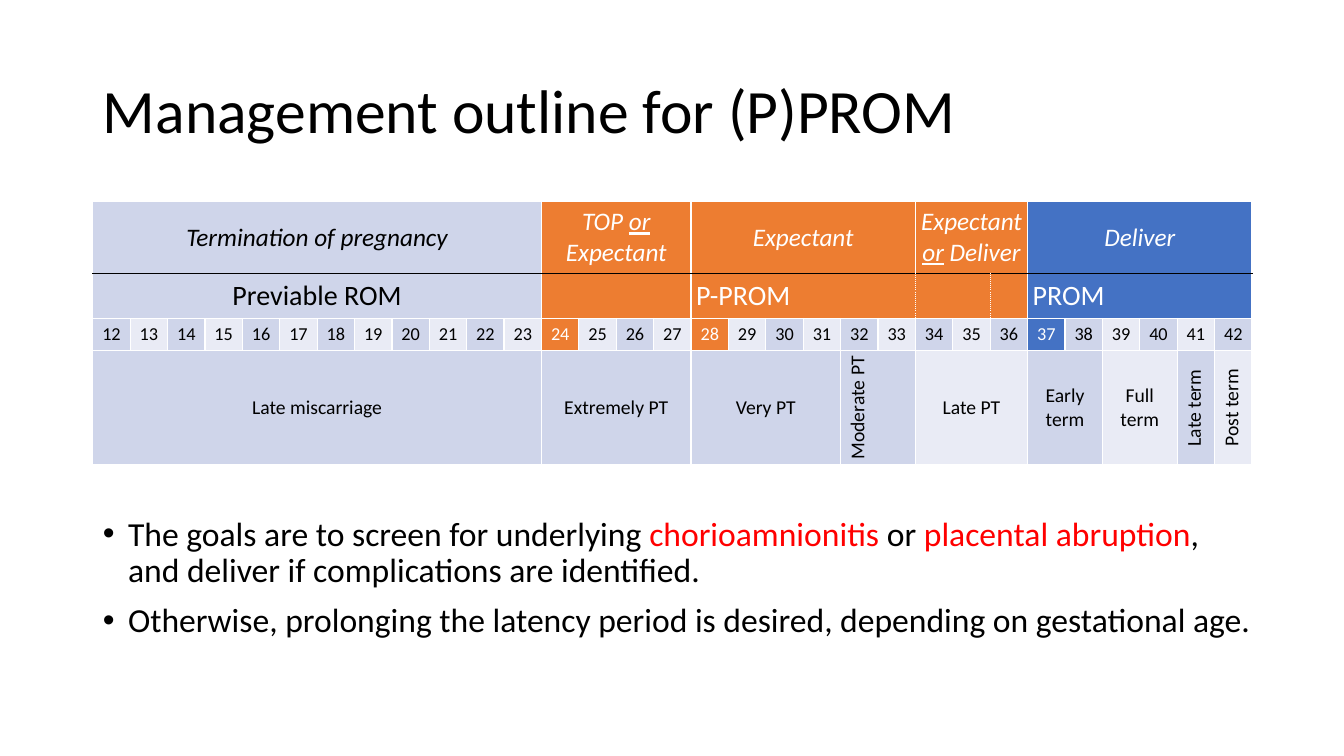
from lxml.etree import SubElement
from pptx import Presentation
from pptx.dml.color import RGBColor
from pptx.enum.text import MSO_ANCHOR, MSO_AUTO_SIZE, PP_ALIGN
from pptx.oxml.ns import qn
from pptx.util import Inches, Pt

BLACK = RGBColor(0x00, 0x00, 0x00)
WHITE = RGBColor(0xFF, 0xFF, 0xFF)
RED = RGBColor(0xFF, 0x00, 0x00)
ORANGE = RGBColor(0xED, 0x7D, 0x31)
BLUE = RGBColor(0x44, 0x72, 0xC4)
BAND = RGBColor(0xCF, 0xD5, 0xEA)
LIGHT = RGBColor(0xE9, 0xEB, 0xF5)

FONT = "Calibri"
SLIDE_W, SLIDE_H = 13.33, 7.5
LEFT, CONTENT_W = 0.92, 11.5
FIRST_WEEK, LAST_WEEK = 12, 42
ROW_HEIGHTS = [0.7, 0.45, 0.32, 1.13]
STRONG_WEEKS = {24: ORANGE, 28: ORANGE, 37: BLUE}

PLANS = [
    (["Termination of pregnancy"], 12, BAND),
    (["TOP ", "or", " Expectant"], 4, ORANGE),
    (["Expectant"], 6, ORANGE),
    (["Expectant ", "or", " Deliver"], 3, ORANGE),
    (["Deliver"], 6, BLUE),
]
RUPTURES = [
    ("Previable ROM", 12, BAND, ""),
    ("", 4, ORANGE, ""),
    ("P-PROM", 6, ORANGE, "R"),
    ("", 2, ORANGE, "LR"),
    ("", 1, ORANGE, "L"),
    ("PROM", 6, BLUE, ""),
]
TERMS = [
    ("Late miscarriage", 12, BAND, False),
    ("Extremely PT", 4, BAND, False),
    ("Very PT", 4, BAND, False),
    ("Moderate PT", 2, BAND, True),
    ("Late PT", 3, LIGHT, False),
    ("Early term", 2, BAND, False),
    ("Full term", 2, LIGHT, False),
    ("Late term", 1, BAND, True),
    ("Post term", 1, LIGHT, True),
]
GOALS = [
    [("The goals are to screen for underlying ", BLACK),
     ("chorioamnionitis", RED),
     (" or ", BLACK),
     ("placental abruption", RED),
     (", and deliver if complications are identified.", BLACK)],
    [("Otherwise, prolonging the latency period is desired, "
      "depending on gestational age.", BLACK)],
]


def add_text(p, text, size=18, color=BLACK, italic=False, underline=False):
    r = p.add_run()
    r.text = text
    f = r.font
    f.name, f.size, f.italic, f.underline = FONT, Pt(size), italic, underline
    f.color.rgb = color


def place(sp, x, y, w, h):
    sp.left, sp.top, sp.width, sp.height = (Inches(v) for v in (x, y, w, h))
    tf = sp.text_frame
    tf.auto_size, tf.word_wrap = MSO_AUTO_SIZE.NONE, True
    return tf


def add_title(sp, x, y, w, h):
    tf = place(sp, x, y, w, h)
    tf.vertical_anchor = MSO_ANCHOR.MIDDLE
    p = tf.paragraphs[0]
    p.alignment, p.line_spacing = PP_ALIGN.LEFT, 0.9
    add_text(p, "Management outline for (P)PROM", size=44)


def add_goals(sp, x, y, w, h):
    tf = place(sp, x, y, w, h)
    tf.vertical_anchor = MSO_ANCHOR.BOTTOM
    for i, goal in enumerate(GOALS):
        p = tf.add_paragraph() if i else tf.paragraphs[0]
        pPr = p._p.get_or_add_pPr()
        pPr.set("marL", str(Inches(0.25)))
        pPr.set("indent", str(-Inches(0.25)))
        SubElement(pPr, qn("a:buFont"), typeface="Arial")
        SubElement(pPr, qn("a:buChar"), char="•")
        p.line_spacing, p.space_before = 0.9, Pt(10 if i else 0)
        for text, color in goal:
            add_text(p, text, size=24, color=color)


def set_borders(cell, black="", dotted=""):
    tcPr = cell._tc.get_or_add_tcPr()
    for i, side in enumerate("LRTB"):
        ln = SubElement(tcPr, qn(f"a:ln{side}"), w=str(Pt(1)))
        fill = SubElement(ln, qn("a:solidFill"))
        color = BLACK if side in black else WHITE
        SubElement(fill, qn("a:srgbClr"), val=str(color))
        SubElement(ln, qn("a:prstDash"),
                   val="sysDot" if side in dotted else "solid")
        tcPr.insert(i, ln)


def add_cell(table, row, col, span, fill, runs, align=PP_ALIGN.CENTER,
             size=18, italic=False, upright=False, black="", dotted=""):
    last = col + span - 1
    for c in range(col, last + 1):
        cell = table.cell(row, c)
        cell.fill.solid()
        cell.fill.fore_color.rgb = fill
        set_borders(cell, black, dotted)
    cell = table.cell(row, col)
    if span > 1:
        cell.merge(table.cell(row, last))
    cell.vertical_anchor = MSO_ANCHOR.MIDDLE
    cell.margin_left = cell.margin_right = Inches(0.05)
    cell.margin_top = cell.margin_bottom = Inches(0.05)
    if upright:
        cell._tc.get_or_add_tcPr().set("vert", "vert270")
    p = cell.text_frame.paragraphs[0]
    p.alignment = align
    color = WHITE if fill in (ORANGE, BLUE) else BLACK
    for text in filter(None, runs):
        add_text(p, text, size=size, color=color, italic=italic,
                 underline=text == "or")


def add_timeline(s, x, y, w):
    weeks = range(FIRST_WEEK, LAST_WEEK + 1)
    table = s.shapes.add_table(
        len(ROW_HEIGHTS), len(weeks), Inches(x), Inches(y), Inches(w),
        Inches(sum(ROW_HEIGHTS))).table
    table.first_row = table.horz_banding = False
    for row, height in zip(table.rows, ROW_HEIGHTS):
        row.height = Inches(height)
    for column in table.columns:
        column.width = Inches(w / len(weeks))

    col = 0
    for runs, span, fill in PLANS:
        add_cell(table, 0, col, span, fill, runs, italic=True, black="B")
        col += span
    col = 0
    for text, span, fill, dotted in RUPTURES:
        align = PP_ALIGN.CENTER if fill == BAND else PP_ALIGN.LEFT
        add_cell(table, 1, col, span, fill, [text], align=align, size=20,
                 black="T", dotted=dotted)
        col += span
    for col, week in enumerate(weeks):
        fill = STRONG_WEEKS.get(week, LIGHT if week % 2 else BAND)
        add_cell(table, 2, col, 1, fill, [str(week)], size=13)
    col = 0
    for text, span, fill, upright in TERMS:
        add_cell(table, 3, col, span, fill, [text], size=14, upright=upright)
        col += span


def main():
    prs = Presentation()
    prs.slide_width, prs.slide_height = Inches(SLIDE_W), Inches(SLIDE_H)
    s = prs.slides.add_slide(prs.slide_layouts[1])
    add_title(s.shapes.title, LEFT, 0.4, CONTENT_W, 1.45)
    add_goals(s.placeholders[1], LEFT, 2, 11.61, 4.26 + 0.14)
    add_timeline(s, LEFT, 2, CONTENT_W)
    prs.save("out.pptx")


if __name__ == "__main__":
    main()
